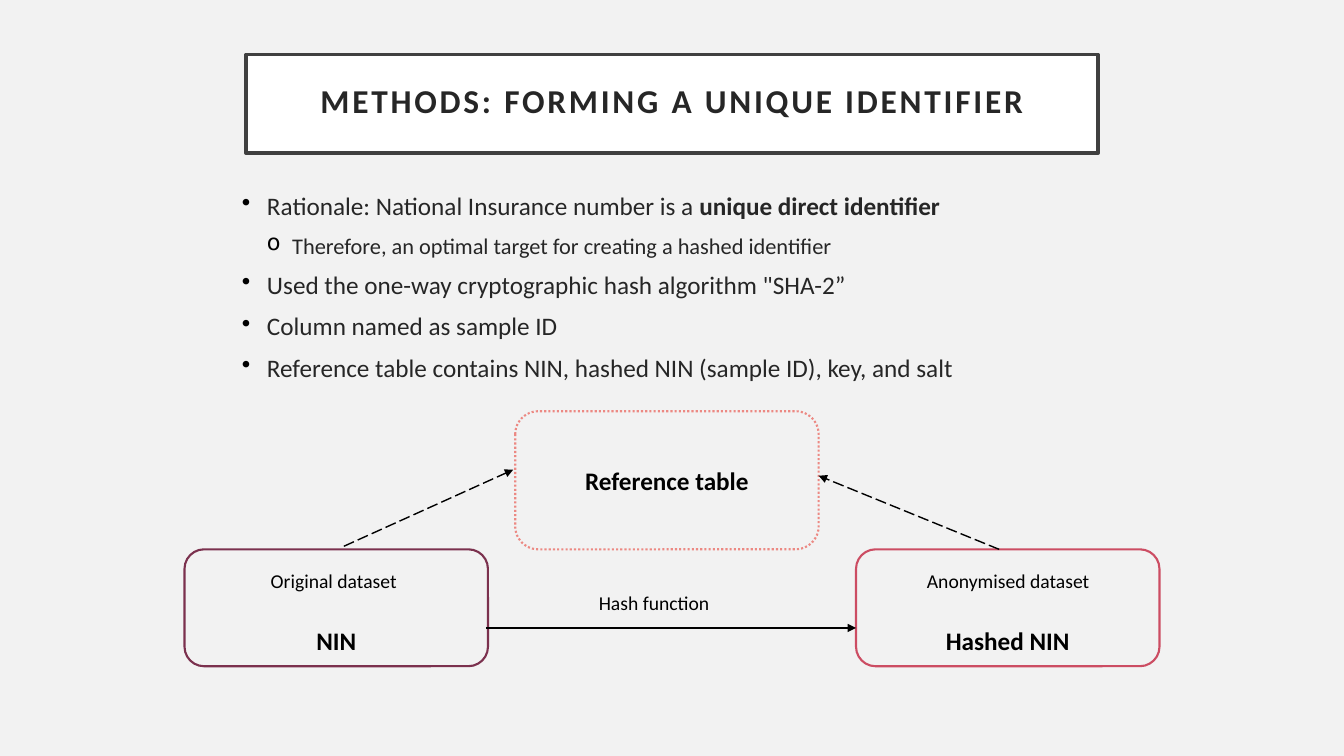
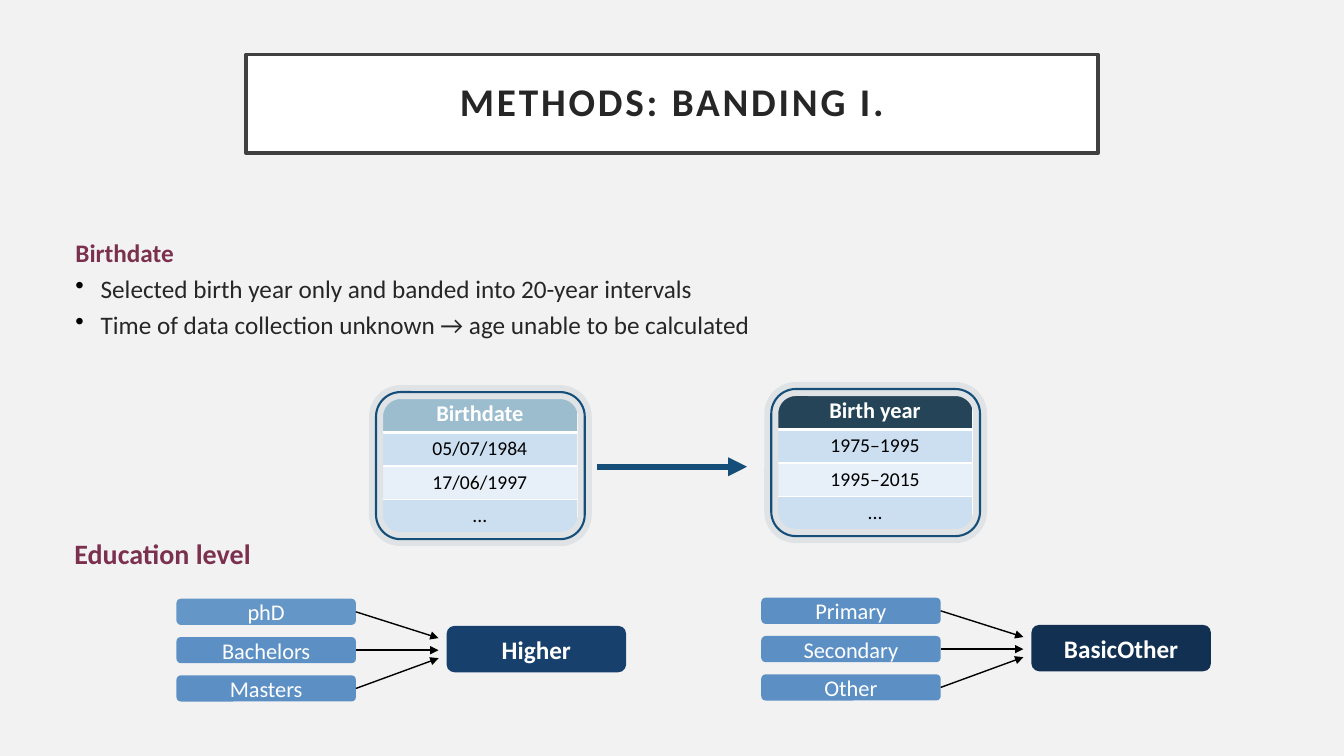
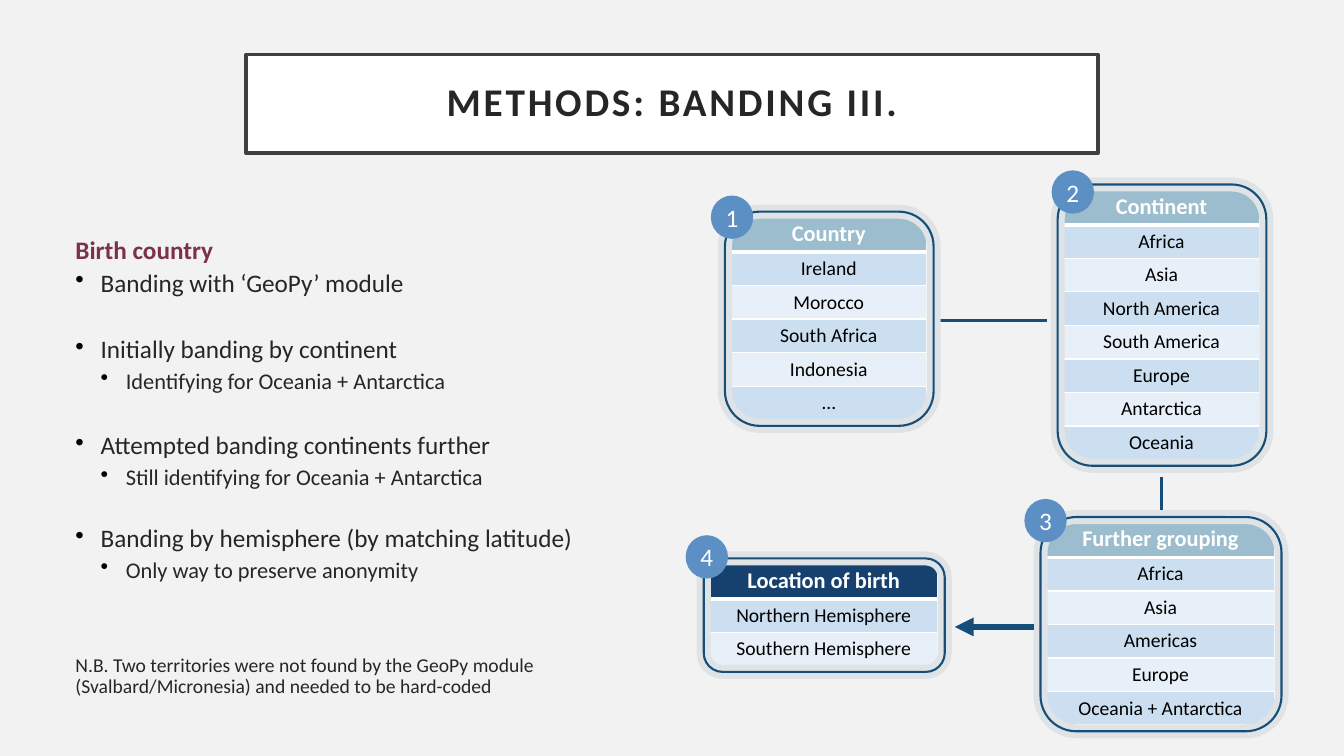
from lxml.etree import SubElement
from pptx import Presentation
from pptx.dml.color import RGBColor
from pptx.enum.dml import MSO_LINE as Dash
from pptx.enum.shapes import MSO_CONNECTOR as Conn, MSO_SHAPE as Shape
from pptx.enum.text import MSO_ANCHOR as Anchor, PP_ALIGN as Align
from pptx.oxml import parse_xml
from pptx.oxml.ns import nsdecls, qn
from pptx.util import Inches, Pt

FONT = "Calibri"
HUES = {
    "page": "F2F2F2", "white": "FFFFFF", "black": "000000", "ink": "262626",
    "edge": "404040", "plum": "7B314E", "coral": "EC8983", "rose": "CC4D63",
    "halo": "DFE3E5", "navy": "154F79", "pill": "5C90C5", "pale": "6596C8",
    "head": "9BBDCE", "slate": "264457", "deep": "16406D", "higher": "17406D",
    "basic": "113052", "odd": "CCDFF1", "even": "E7EFF8",
}
HEAD, ROW = 0.36, 0.333  # table row heights

# Body lines: text (|bold| parts), level, size, space before, colour
HASHING = [
    ("Rationale: National Insurance number is a |unique direct identifier|", 1, 18, 10, "ink"),
    ("Therefore, an optimal target for creating a hashed identifier", 2, 16, 10, "ink"),
    ("Used the one-way cryptographic hash algorithm \"SHA-2”", 1, 18, 10, "ink"),
    ("Column named as sample ID", 1, 18, 10, "ink"),
    ("Reference table contains NIN, hashed NIN (sample ID), key, and salt", 1, 18, 10, "ink"),
]
BIRTH = [
    ("|Birthdate|", 0, 18, 10, "plum"),
    ("Selected birth year only and banded into 20-year intervals", 1, 18, 4, "ink"),
    ("Time of data collection unknown → age unable to be calculated", 1, 18, 4, "ink"),
]
COUNTRY = [
    ("|Birth country|", 0, 18, 10, "plum"),
    ("Banding with ‘GeoPy’ module", 1, 18, 4, "ink"),
    ("Initially banding by continent", 1, 18, 28, "ink"),
    ("Identifying for Oceania + Antarctica", 2, 16, 4, "ink"),
    ("Attempted banding continents further", 1, 18, 28, "ink"),
    ("Still identifying for Oceania + Antarctica", 2, 16, 4, "ink"),
    ("Banding by hemisphere (by matching latitude)", 1, 18, 25.6, "ink"),
    ("Only way to preserve anonymity", 2, 16, 4, "ink"),
    ("N.B. Two territories were not found by the GeoPy module "
     "(Svalbard/Micronesia) and needed to be hard-coded", 0, 14, 51.5, "ink"),
]

# Text, place, line colour, dash, anchor
BOXES = [
    ("NIN", (1.83, 5.45, 3.01, 1.16), "plum", None, Anchor.BOTTOM),
    ("Reference table", (5.11, 4.08, 3.01, 1.37), "coral", Dash.ROUND_DOT, Anchor.MIDDLE),
    ("Hashed NIN", (8.49, 5.45, 3.01, 1.16), "rose", None, Anchor.BOTTOM),
]
FLOWS = [
    ((3.41, 5.42), (5.09, 4.66), Dash.LONG_DASH),
    ((9.91, 5.45), (8.12, 4.72), Dash.LONG_DASH),
    ((4.82, 6.23), (8.49, 6.23), None),
]
LABELS = [
    ("Original dataset", (2.37, 5.59, 1.88, 0.43), Align.CENTER),
    ("Anonymised dataset", (8.8, 5.59, 2.4, 0.43), Align.CENTER),
    ("Hash function", (5.84, 5.81, 1.88, 0.43), Align.LEFT),
]

# Left, top, levels with fills, band, band fill
LEVELS = [
    (1.75, 5.94, [("phD", "pale"), ("Bachelors", "pill"), ("Masters", "pill")],
     "Higher", "higher"),
    (7.55, 5.93, [("Primary", "pill"), ("Secondary", "pill"), ("Other", "pill")],
     "BasicOther", "basic"),
]

# Left, top, width, header fill, rows with the header first
DATES = [
    (3.79, 3.93, 1.94, "head", ["Birthdate", "05/07/1984", "17/06/1997", "..."]),
    (7.71, 3.9, 1.94, "slate", ["Birth year", "1975–1995", "1995–2015", "..."]),
]
PLACES = [
    (7.25, 2.14, 1.94, "head",
     ["Country", "Ireland", "Morocco", "South Africa", "Indonesia", "…"]),
    (10.55, 1.87, 1.94, "head",
     ["Continent", "Africa", "Asia", "North America", "South America", "Europe",
      "Antarctica", "Oceania"]),
    (10.38, 5.17, 2.26, "head",
     ["Further grouping", "Africa", "Asia", "Americas", "Europe", "Oceania + Antarctica"]),
    (7.04, 5.58, 2.26, "deep",
     ["Location of birth", "Northern Hemisphere", "Southern Hemisphere"]),
]
BADGES = [(7.05, 1.94), (10.43, 1.69), (10.16, 4.95), (6.8, 5.31)]


def rgb(name):
    return RGBColor.from_string(HUES[name])


def inch(nums):
    return [Inches(n) for n in nums]


def write(para, text, size, hue, bold=False, align=Align.LEFT):
    """Fill a paragraph; parts between bars are bold."""
    para.alignment = align
    for i, part in enumerate(text.split("|")):
        if part:
            run = para.add_run()
            run.text = part
            look = {"name": FONT, "size": Pt(size), "bold": bold or i % 2 == 1}
            for key, value in look.items():
                setattr(run.font, key, value)
            run.font.color.rgb = rgb(hue)


def add_text(slide, box, lines):
    frame = slide.shapes.add_textbox(*inch(box)).text_frame
    frame.word_wrap = True
    for i, (text, level, size, gap, hue) in enumerate(lines):
        para = frame.paragraphs[0] if i == 0 else frame.add_paragraph()
        write(para, text, size, hue)
        para.space_before = Pt(gap)
        if level:
            bullet(para, level, "o" if (lines is HASHING and level == 2) else "•")
    return frame


def bullet(para, level, sign):
    props = para._p.get_or_add_pPr()
    props.set("marL", str(Inches(0.25 * level)))
    props.set("indent", str(-Inches(0.25)))
    tint = SubElement(props, qn("a:buClr"))
    SubElement(tint, qn("a:srgbClr")).set("val", HUES["black"])
    SubElement(props, qn("a:buChar")).set("char", sign)


def add_box(slide, kind, box, fill=None, line=None, width=1.5, dash=None):
    shape = slide.shapes.add_shape(kind, *inch(box))
    shape.shadow.inherit = False
    if fill:
        shape.fill.solid()
        shape.fill.fore_color.rgb = rgb(fill)
    else:
        shape.fill.background()
    if line:
        shape.line.color.rgb = rgb(line)
        shape.line.width = Pt(width)
        if dash:
            shape.line.dash_style = dash
    else:
        shape.line.fill.background()
    return shape


def label(shape, text, size, hue, bold=False, anchor=Anchor.MIDDLE, inset=None):
    frame = shape.text_frame
    frame.word_wrap = True
    frame.vertical_anchor = anchor
    if inset is not None:
        for side in ("left", "top", "right", "bottom"):
            setattr(frame, "margin_" + side, Inches(inset))
    write(frame.paragraphs[0], text, size, hue, bold, Align.CENTER)
    return frame


def add_line(slide, start, end, hue="black", width=1, dash=None, arrow=True):
    line = slide.shapes.add_connector(Conn.STRAIGHT, *inch(start + end))
    line.line.color.rgb = rgb(hue)
    line.line.width = Pt(width)
    if dash:
        line.line.dash_style = dash
    if arrow:
        SubElement(line.line._get_or_add_ln(), qn("a:tailEnd")).set("type", "triangle")
    SubElement(line._element.spPr, qn("a:effectLst"))
    return line


def add_page(deck, title, size=28, pitch=0.9):
    slide = deck.slides.add_slide(deck.slide_layouts[6])
    band = add_box(slide, Shape.RECTANGLE, (2.44, 0.54, 8.45, 0.98), "white", "edge", 2.5)
    para = label(band, title, size, "ink", True, inset=0.2).paragraphs[0]
    para.line_spacing = pitch
    para.runs[0].font._element.set("spc", "200")
    return slide


def edge_cell(cell, base):
    """Draw white borders, with the bottom one base points wide."""
    props = cell._tc.get_or_add_tcPr()
    for i, (side, width) in enumerate(zip("LRTB", (1, 1, 1, base))):
        props.insert(i, parse_xml(
            f'<a:ln{side} {nsdecls("a")} w="{Pt(width)}"><a:solidFill>'
            f'<a:srgbClr val="{HUES["white"]}"/></a:solidFill></a:ln{side}>'))


def add_card(slide, left, top, wide, fill, rows):
    """Add a one-column table inside a double rounded frame."""
    high = HEAD + ROW * (len(rows) - 1)
    table = slide.shapes.add_table(len(rows), 1, *inch((left, top, wide, high))).table
    table.horz_banding = False
    for i, text in enumerate(rows):
        table.rows[i].height = Inches(ROW if i else HEAD)
        cell = table.cell(i, 0)
        cell.vertical_anchor = Anchor.MIDDLE
        for side in ("left", "top", "right", "bottom"):
            setattr(cell, "margin_" + side, Inches(0.01))
        cell.fill.solid()
        cell.fill.fore_color.rgb = rgb(("even", "odd")[i % 2] if i else fill)
        edge_cell(cell, 1 if i else 3)
        write(cell.text_frame.paragraphs[0], text, 14 if i else 16,
              "black" if i else "white", i == 0, Align.CENTER)
    for hue, width in (("halo", 10), ("navy", 1.5)):
        add_box(slide, Shape.ROUNDED_RECTANGLE,
                (left - 0.06, top - 0.04, wide + 0.13, high + 0.1), None, hue, width)


def add_merge(slide, left, top, levels, band, fill):
    """Add stacked levels with arrows that lead to one band."""
    wide, high, step = 1.78, 0.26, 0.38
    mid = top + step + high / 2
    for i, (text, hue) in enumerate(levels):
        y = top + i * step
        pill = add_box(slide, Shape.ROUNDED_RECTANGLE, (left, y, wide, high), hue)
        label(pill, text, 16, "white", inset=0)
        line = add_line(slide, (left + wide, y + high / 2),
                        (left + 2.6, mid + (-0.12, 0, 0.08)[i]))
        line.begin_connect(pill, 3)
    goal = add_box(slide, Shape.ROUNDED_RECTANGLE,
                   (left + 2.68, mid - 0.24, wide, 0.46), fill)
    label(goal, band, 18, "white", True)


def hash_page(deck):
    slide = add_page(deck, "METHODS: FORMING A UNIQUE IDENTIFIER", 23.8, 0.8)
    body = add_text(slide, (2.3, 1.87, 10.7, 2.09), HASHING)
    for para in body.paragraphs:
        para.line_spacing = 0.9
    for text, box, hue, dash, anchor in BOXES:
        shape = add_box(slide, Shape.ROUNDED_RECTANGLE, box, None, hue, 1.5, dash)
        label(shape, text, 18, "black", True, anchor)
    for start, end, dash in FLOWS:
        add_line(slide, start, end, dash=dash)
    for text, box, align in LABELS:
        frame = add_text(slide, box, [(text, 0, 14, 0, "black")])
        frame.paragraphs[0].alignment = align


def band_page(deck):
    slide = add_page(deck, "METHODS: BANDING I.")
    add_text(slide, (0.65, 2.31, 12.08, 1.54), BIRTH)
    for group in LEVELS:
        add_merge(slide, *group)
    add_text(slide, (0.64, 5.27, 3, 0.44), [("|Education level|", 0, 20, 0, "plum")])
    for card in DATES:
        add_card(slide, *card)
    add_line(slide, (5.92, 4.63), (7.41, 4.63), "navy", 4.5)


def place_page(deck):
    slide = add_page(deck, "METHODS: BANDING III.")
    body = add_text(slide, (0.65, 2.31, 6.1, 4.96), COUNTRY)
    for para in body.paragraphs:
        para.line_spacing = 0.9
    add_line(slide, (11.52, 4.73), (11.52, 5.13), "navy", 2.5, arrow=False)
    add_line(slide, (10.38, 3.18), (9.3, 3.18), "navy", 2.5, arrow=False)
    for card in PLACES:
        add_card(slide, *card)
    add_line(slide, (10.26, 6.22), (9.47, 6.22), "navy", 4.5)
    for i, spot in enumerate(BADGES, 1):
        badge = add_box(slide, Shape.OVAL, spot + (0.42, 0.43), "pill")
        label(badge, str(i), 18, "white", inset=0)


def main():
    deck = Presentation()
    deck.slide_width, deck.slide_height = inch((13.33, 7.5))
    back = deck.slide_master.background.fill
    back.solid()
    back.fore_color.rgb = rgb("page")
    for build in (hash_page, band_page, place_page):
        build(deck)
    deck.save("out.pptx")


if __name__ == "__main__":
    main()
